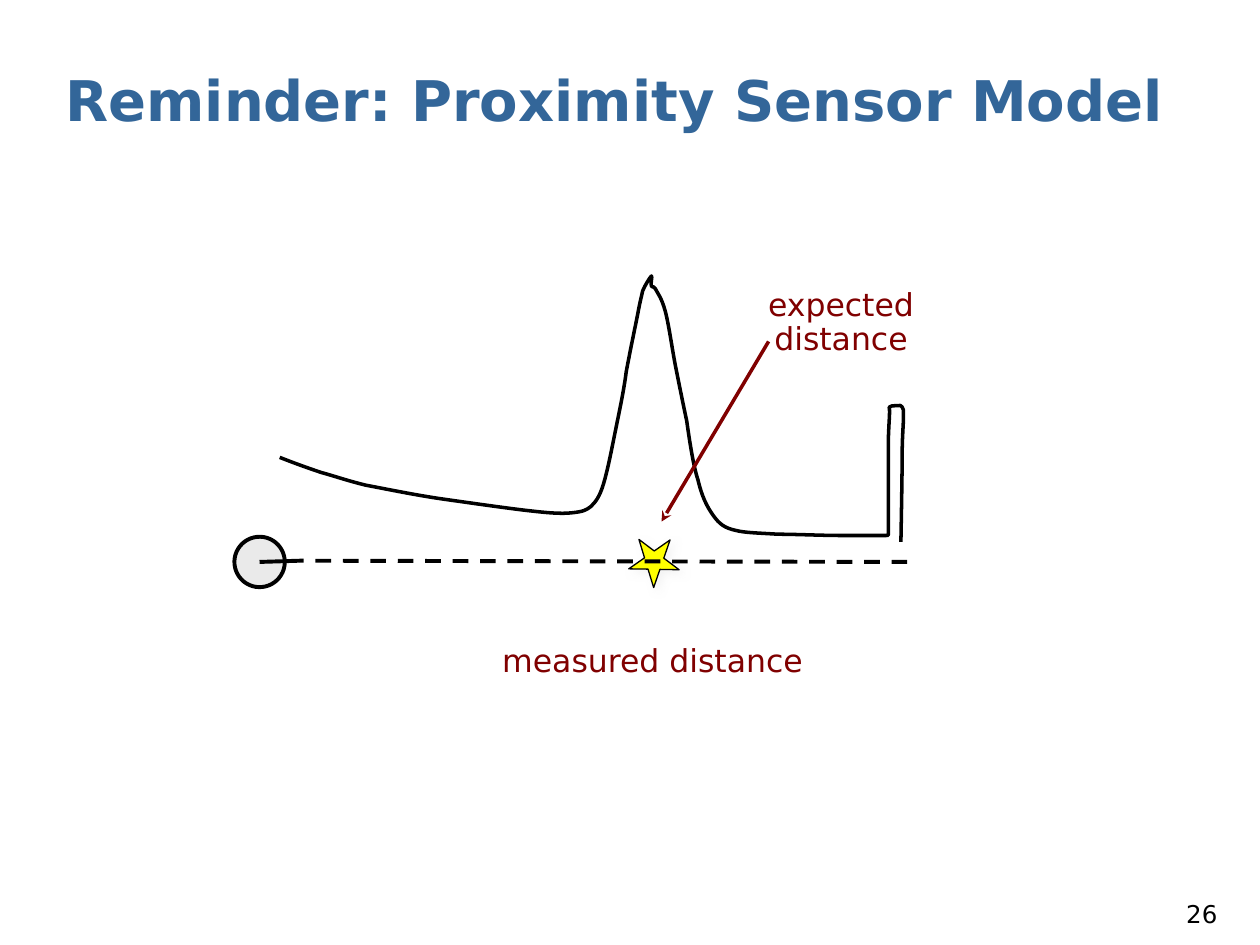
import pptx
import pptx.dml.color
import pptx.enum.dml
import pptx.enum.shapes
import pptx.enum.text
import pptx.oxml
import pptx.oxml.ns
import pptx.util
from dataclasses import dataclass, field
from typing import Optional

Inches = pptx.util.Inches
Align = pptx.enum.text.PP_ALIGN
Anchor = pptx.enum.text.MSO_ANCHOR
Kind = pptx.enum.shapes.MSO_SHAPE
Point = tuple[float, float]
Box = tuple[float, float, float, float]

COLS, ROWS = 100, 75  # grid over the slide
WIDE, HIGH = Inches(10), Inches(7.5)
INK = {
    "title": "336699", "note": "800000", "line": "000000",
    "robot": "EAEAEA", "star": "FFFF00", "shade": "EAEAEA",
}


@dataclass
class Label:
    text: str
    box: Box
    size: float
    ink: str
    font: dict = field(default_factory=dict)
    para: dict = field(default_factory=dict)
    frame: dict = field(default_factory=dict)


@dataclass
class Mark:
    kind: int
    box: Box
    turn: float
    fill: str
    width: float
    adjust: tuple[float, ...] = ()
    shade: bool = False


@dataclass
class Line:
    start: Point
    end: Point
    ink: str
    width: float
    dash: Optional[int] = None
    head: Optional[str] = None


def x(col: float) -> int:
    return round(col * WIDE / COLS)


def y(row: float) -> int:
    return round(row * HIGH / ROWS)


def place(box: Box) -> tuple[int, ...]:
    left, top, wide, high = box
    return x(left), y(top), x(wide), y(high)


def color(name: str) -> pptx.dml.color.RGBColor:
    return pptx.dml.color.RGBColor.from_string(INK[name])


def node(tag: str, rest: str = "", inner: str = ""):
    space = pptx.oxml.ns.nsdecls("a")
    return pptx.oxml.parse_xml(f"<a:{tag} {space} {rest}>{inner}</a:{tag}>")


def apply(item: object, values: dict) -> None:
    for name, value in values.items():
        setattr(item, name, value)


def stroke(line, ink: str, width: float) -> None:
    line.color.rgb = color(ink)
    line.width = pptx.util.Pt(width)


def add_label(shapes, label: Label) -> None:
    frame = shapes.add_textbox(*place(label.box)).text_frame
    apply(frame, {"word_wrap": True, **label.frame})
    para = frame.paragraphs[0]
    apply(para, label.para)
    run = para.add_run()
    run.text = label.text
    apply(run.font, {"name": "DejaVu Sans", "size": pptx.util.Pt(label.size),
                     **label.font})
    run.font.color.rgb = color(label.ink)


def add_mark(shapes, mark: Mark) -> None:
    shape = shapes.add_shape(mark.kind, *place(mark.box))
    shape.shadow.inherit = False
    shape.rotation = mark.turn
    for i, value in enumerate(mark.adjust):
        shape.adjustments[i] = value
    shape.fill.solid()
    shape.fill.fore_color.rgb = color(mark.fill)
    stroke(shape.line, "line", mark.width)
    if mark.shade:
        shape._element.xpath("./p:spPr/a:effectLst")[0].append(node(
            "outerShdw", 'blurRad="63500" dist="38100" dir="2700000"',
            f'<a:srgbClr val="{INK["shade"]}"><a:alpha val="50000"/>'
            "</a:srgbClr>"))


def add_line(shapes, line: Line) -> None:
    ends = x(line.start[0]), y(line.start[1]), x(line.end[0]), y(line.end[1])
    shape = shapes.add_connector(
        pptx.enum.shapes.MSO_CONNECTOR.STRAIGHT, *ends)
    stroke(shape.line, line.ink, line.width)
    if line.dash:
        shape.line.dash_style = line.dash
    if line.head:
        shape.line._get_or_add_ln().append(
            node("tailEnd", f'type="{line.head}"'))
    shape._element.spPr.append(node("effectLst"))


def add_curve(shapes, start: Point, spans: list[tuple[float, ...]]) -> None:
    """Draw spans of six numbers as Bezier curves, of two as straight lines."""
    spots = [(x(col), y(row)) for span in spans
             for col, row in zip(span[::2], span[1::2])]
    build = shapes.build_freeform(x(start[0]), y(start[1]))
    build.add_line_segments(spots, close=False)
    shape = build.convert_to_shape()
    shape.shadow.inherit = False
    shape.fill.background()
    stroke(shape.line, "line", 2)
    # Join each three straight steps into one Bezier curve
    steps = iter(shape._element.xpath(".//a:lnTo"))
    for span in spans:
        first = next(steps)
        if len(span) == 6:
            bend = node("cubicBezTo")
            first.addprevious(bend)
            for step in (first, next(steps), next(steps)):
                bend.append(step[0])
                step.getparent().remove(step)


# Density curve: decay, peak, floor and maximum-range spike
START = (22.2, 36.3)
SPANS = [
    (23.2, 36.7, 24.3, 37.1, 25.5, 37.5), (26.6, 37.8, 27.4, 38.1, 29, 38.5),
    (30.6, 38.8, 33, 39.3, 35.1, 39.6), (37.2, 39.9, 40, 40.3, 41.7, 40.5),
    (43.4, 40.7, 44.5, 40.8, 45.4, 40.7), (46.3, 40.6, 46.5, 40.5, 46.9, 40.2),
    (47.3, 39.8, 47.6, 39.4, 47.9, 38.4), (48.2, 37.4, 48.5, 35.9, 48.8, 34.4),
    (49.1, 32.9, 49.5, 31.1, 49.7, 29.5), (50, 27.9, 50.4, 26, 50.6, 25),
    (50.8, 23.9, 50.9, 23.6, 51, 23.1), (51.2, 22.6, 51.6, 22, 51.7, 21.9),
    (51.8, 21.9, 51.6, 22.6, 51.7, 22.7), (51.7, 22.9, 51.8, 22.6, 52, 22.9),
    (52.2, 23.3, 52.5, 23.6, 52.8, 24.7), (53.1, 25.8, 53.4, 28.1, 53.7, 29.5),
    (54, 31, 54.2, 32, 54.5, 33.4), (54.7, 34.8, 55, 36.9, 55.4, 38.1),
    (55.7, 39.4, 56.1, 40.2, 56.6, 40.9), (57.1, 41.6, 57.5, 41.9, 58.4, 42.1),
    (59.2, 42.3, 60.3, 42.3, 61.7, 42.4), (63.1, 42.4, 65.3, 42.5, 66.7, 42.5),
    (68.1, 42.5, 69.5, 42.5, 70.1, 42.5), (70.7, 42.5, 70.4, 42.5, 70.5, 42.4),
    (70.5, 42.2, 70.5, 41.6, 70.5, 41.6), (70.5, 40.2),
    (70.5, 39.2, 70.5, 36.7, 70.5, 35.4), (70.5, 34.2, 70.6, 33.2, 70.6, 32.7),
    (70.6, 32.1, 70.5, 32.4, 70.6, 32.3), (70.7, 32.2, 70.9, 32.2, 71, 32.2),
    (71.2, 32.2, 71.2, 32.2, 71.3, 32.2), (71.4, 32.2, 71.5, 32.1, 71.6, 32.3),
    (71.7, 32.4, 71.7, 32.5, 71.7, 33.1), (71.7, 33.8, 71.6, 34.6, 71.6, 36.3),
    (71.6, 37.9, 71.5, 43, 71.5, 43),
]

ROBOT = Mark(Kind.OVAL, (18.6, 42.6, 4, 4), 106.7, "robot", 2.25)
STAR = Mark(Kind.STAR_5_POINT, (50.1, 42.7, 4, 3.8), 109, "star", 0.75,
            (0.191, 1.051, 1.106), shade=True)

HEADING = Line((20.6, 44.6), (23.8, 44.5), "line", 2.25)
POINTER = Line((61, 27.1), (52.5, 41.4), "note", 2, head="stealth")
BEAM = Line((72, 44.6), (23.8, 44.5), "line", 2.25,
            dash=pptx.enum.dml.MSO_LINE.DASH)

NOTE = {"alignment": Align.CENTER, "line_spacing": 0.9}
GROW = {"auto_size": pptx.enum.text.MSO_AUTO_SIZE.SHAPE_TO_FIT_TEXT}
LABELS = [
    Label("Reminder: Proximity Sensor Model", (4.2, 4.7, 93.5, 7), 32, "title",
          font={"bold": True}, frame=GROW),
    Label("expected distance", (54.3, 22.5, 24.9, 3.8), 18, "note",
          para=NOTE, frame=GROW),
    Label("measured distance", (38.8, 50.7, 26, 3.8), 18, "note",
          para=NOTE, frame=GROW),
    Label("26", (76.7, 71.3, 20.9, 2.9), 14, "line",
          para={"alignment": Align.RIGHT},
          frame={"vertical_anchor": Anchor.BOTTOM}),
]


def main() -> None:
    deck = pptx.Presentation()
    apply(deck, {"slide_width": WIDE, "slide_height": HIGH})
    shapes = deck.slides.add_slide(deck.slide_layouts[6]).shapes
    # Robot with its heading
    group = shapes.add_group_shape().shapes
    add_mark(group, ROBOT)
    add_line(group, HEADING)
    # Curve, target and beam
    add_curve(shapes, START, SPANS)
    add_mark(shapes, STAR)
    for line in (POINTER, BEAM):
        add_line(shapes, line)
    # Title, notes and page number
    for label in LABELS:
        add_label(shapes, label)
    deck.save("out.pptx")


if __name__ == "__main__":
    main()
